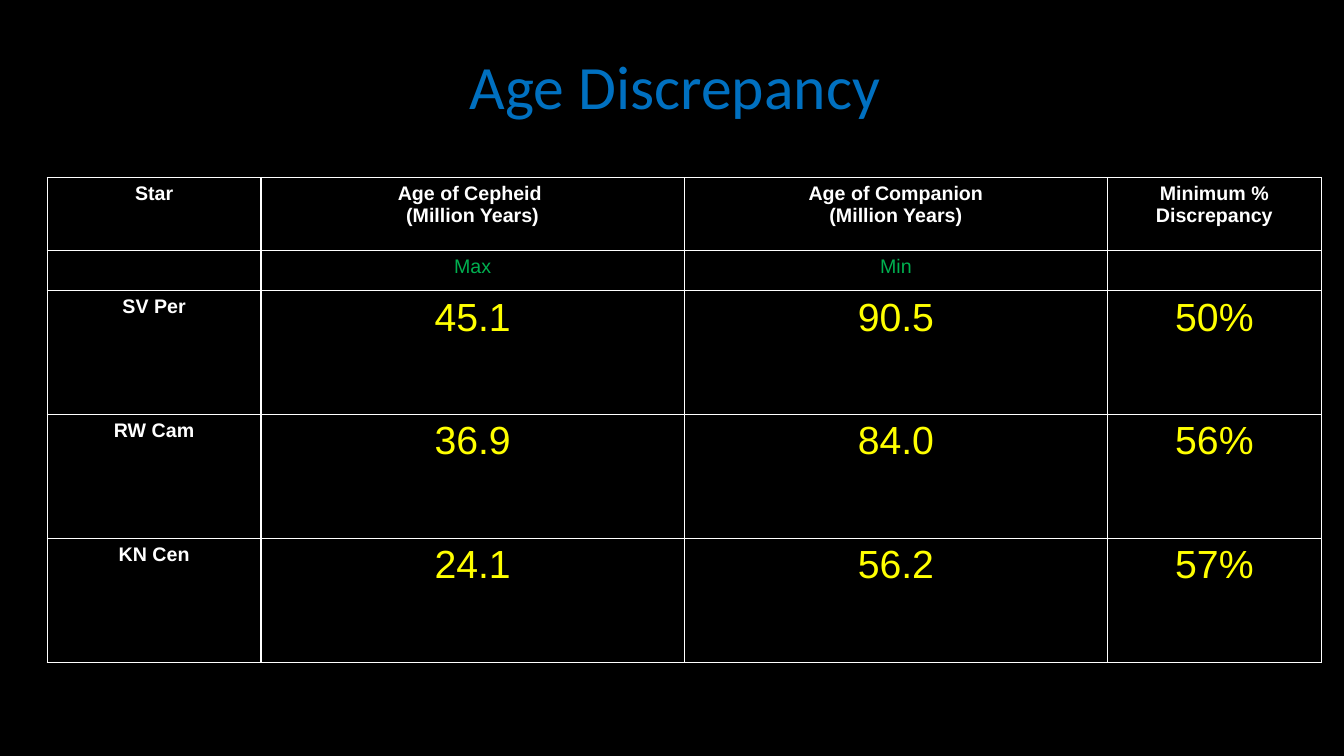
from lxml import etree
from pptx import Presentation
from pptx.dml.color import RGBColor
from pptx.enum import text
from pptx.oxml import ns
from pptx.util import Pt

BLACK = RGBColor(0x00, 0x00, 0x00)
WHITE = RGBColor(0xFF, 0xFF, 0xFF)
BLUE = RGBColor(0x00, 0x70, 0xC0)
GREEN = RGBColor(0x00, 0xB0, 0x50)
YELLOW = RGBColor(0xFF, 0xFF, 0x00)

COLUMN_WIDTHS = [152.6, 302.4, 302.4, 152.6]
ROW_HEIGHTS = [51.8, 28.8, 88.5, 88.5, 88.5]
ROWS = [
    ["Star", "Age of Cepheid \n(Million Years)",
     "Age of Companion\n(Million Years)", "Minimum % Discrepancy"],
    ["", "Max", "Min", ""],
    ["SV Per", "45.1", "90.5", "50%"],
    ["RW Cam", "36.9", "84.0", "56%"],
    ["KN Cen", "24.1", "56.2", "57%"],
]


def write(tf, content, size=14, color=WHITE, bold=False, font="Arial", spacing=1.0):
    """Fill a text frame with centred paragraphs, one per line of content."""
    for i, line in enumerate(content.split("\n")):
        p = tf.paragraphs[0] if i == 0 else tf.add_paragraph()
        p.alignment = text.PP_ALIGN.CENTER
        p.line_spacing = spacing
        r = p.add_run()
        r.text = line
        r.font.name, r.font.size, r.font.bold = font, Pt(size), bold
        r.font.color.rgb = color


def add_borders(cell):
    tc_pr = cell._tc.get_or_add_tcPr()
    for side in ("lnL", "lnR", "lnT", "lnB"):
        ln = etree.SubElement(tc_pr, ns.qn(f"a:{side}"), w=str(Pt(1)))
        fill = etree.SubElement(ln, ns.qn("a:solidFill"))
        etree.SubElement(fill, ns.qn("a:srgbClr"), val=str(WHITE))


prs = Presentation()
prs.slide_width, prs.slide_height = Pt(960), Pt(540)
s = prs.slides.add_slide(prs.slide_layouts[6])
s.background.fill.solid()
s.background.fill.fore_color.rgb = BLACK

title = s.shapes.add_textbox(Pt(293), Pt(26.6), Pt(378.7), Pt(74.9))
tf = title.text_frame
tf.word_wrap = True
tf.vertical_anchor = text.MSO_ANCHOR.MIDDLE
write(tf, "Age Discrepancy", size=44, color=BLUE, font="Calibri", spacing=0.9)

table = s.shapes.add_table(len(ROWS), len(COLUMN_WIDTHS), Pt(33.8), Pt(126.9),
                           Pt(sum(COLUMN_WIDTHS)), Pt(sum(ROW_HEIGHTS))).table
for column, width in zip(table.columns, COLUMN_WIDTHS):
    column.width = Pt(width)
for row, height in zip(table.rows, ROW_HEIGHTS):
    row.height = Pt(height)

for i, row in enumerate(ROWS):
    for j, content in enumerate(row):
        cell = table.cell(i, j)
        add_borders(cell)
        cell.fill.solid()
        cell.fill.fore_color.rgb = BLACK
        if not content:
            continue
        if i == 0 or j == 0:
            write(cell.text_frame, content, bold=True)
        elif i == 1:
            write(cell.text_frame, content, color=GREEN)
        else:
            write(cell.text_frame, content, size=28, color=YELLOW)

prs.save("out.pptx")
